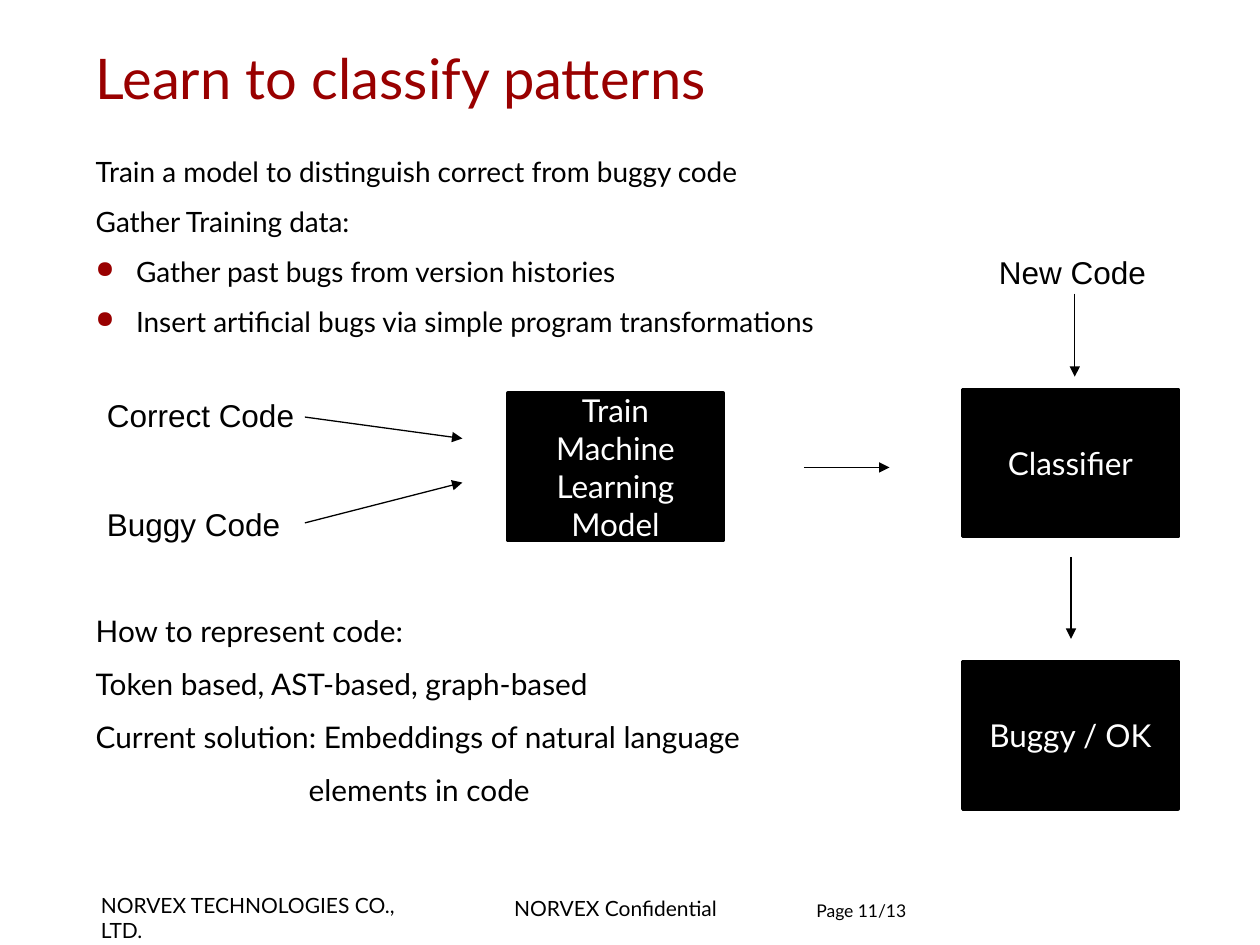
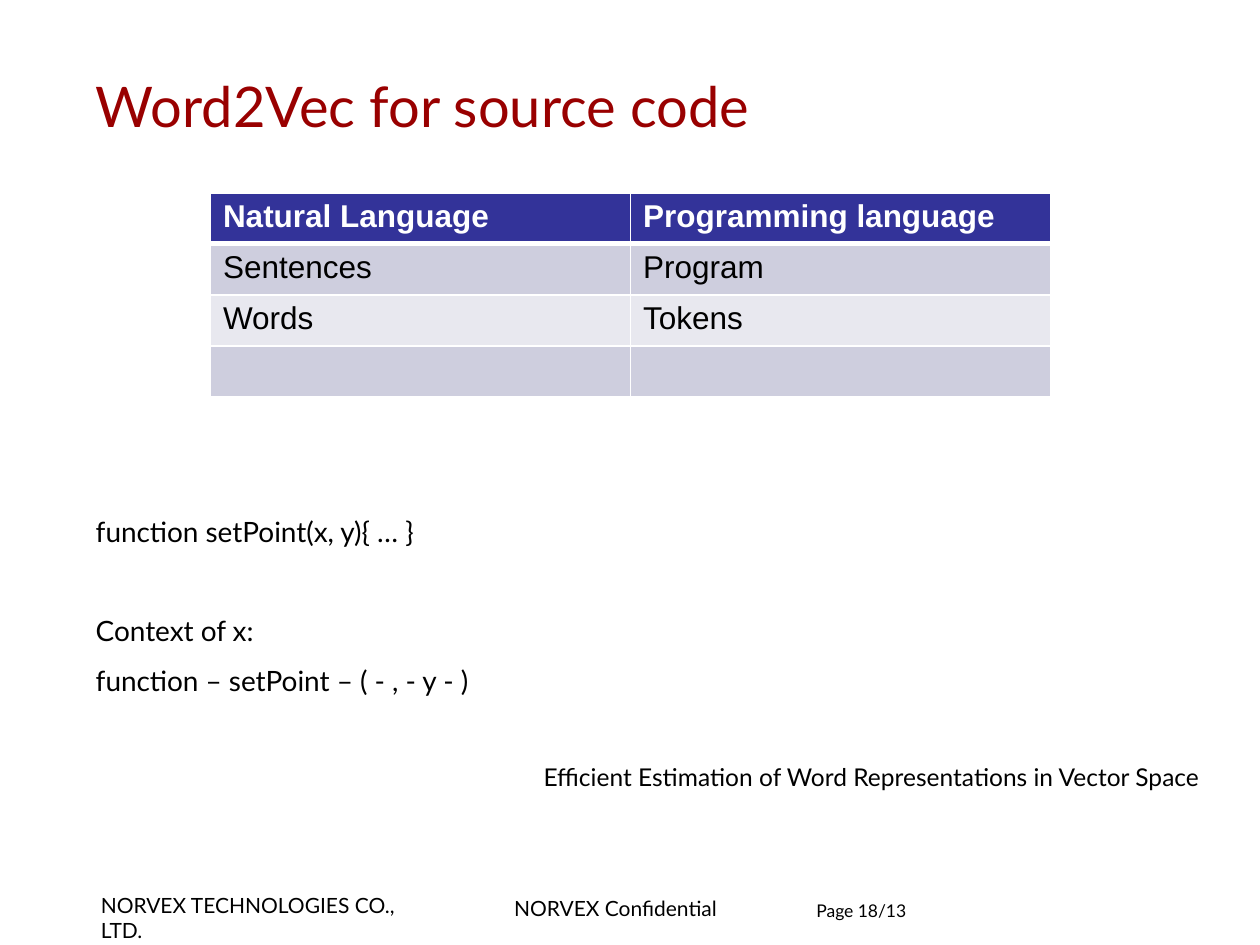
"""Build two slides on learning bug patterns and embedding source code."""
from dataclasses import dataclass
from typing import Optional

from lxml import etree
from pptx import Presentation
from pptx import dml, util as u
from pptx.dml import color
from pptx.enum import shapes, text
from pptx.oxml import ns

ALIGN = text.PP_ALIGN
MIDDLE = text.MSO_ANCHOR.MIDDLE


@dataclass(frozen=True)
class Theme:
    red: str = "990000"
    black: str = "000000"
    white: str = "FFFFFF"
    header: str = "333399"
    bands: tuple = ("CECEDE", "E8E8EF")
    font: str = "Lato"
    label_font: str = "Arial"
    title: float = 32
    label: float = 18
    code: float = 17
    body: float = 16
    citation: float = 14
    footer: float = 12
    page: float = 10


@dataclass(frozen=True)
class Area:
    left: float
    top: float
    width: float
    height: float

    def lengths(self) -> list:
        return [u.Inches(v) for v in (self.left, self.top, self.width, self.height)]


@dataclass(frozen=True)
class Line:
    words: str
    size: float
    bullet: bool = False
    indent: float = 0
    align: Optional[ALIGN] = ALIGN.JUSTIFY
    gap: float = 0


@dataclass(frozen=True)
class Arrow:
    x1: float
    y1: float
    x2: float
    y2: float


THEME = Theme()
INSETS = (0.09, 0.04)
BLOCK_WIDTH, BLOCK_HEIGHT = 1.71, 1.17
MARGIN, CONTENT_WIDTH = 0.67, 8.94
BULLET_INDENT = 0.32
FOOTERS = (
    ("NORVEX TECHNOLOGIES CO., LTD.", Area(0.71, 7.04, 2.86, 0.29)),
    ("NORVEX Confidential", Area(3.99, 7.07, 2.23, 0.29)),
)
TRAINING = (
    Line("Train a model to distinguish correct from buggy code", THEME.body),
    Line("Gather Training data:", THEME.body),
    Line("Gather past bugs from version histories", THEME.body, bullet=True),
    Line("Insert artificial bugs via simple program transformations", THEME.body, bullet=True),
)
REPRESENTATION = (
    Line("How to represent code:", THEME.code),
    Line("Token based, AST-based, graph-based", THEME.code),
    Line("Current solution: Embeddings of natural language", THEME.code),
    Line("elements in code", THEME.code, indent=1.69),
)
CONTEXT = (
    Line("function setPoint(x, y){ … }", THEME.body),
    Line("Context of x:", THEME.body, gap=28.5),
    Line("function – setPoint – ( - , - y - )", THEME.body),
    Line("Efficient Estimation of Word Representations in Vector Space",
         THEME.citation, align=ALIGN.RIGHT, gap=28.5),
)
BLOCKS = (
    ("Train Machine Learning Model", 4.03, 3.12),
    ("Classifier", 7.64, 3.09),
    ("Buggy / OK", 7.64, 5.25),
)
LABELS = (
    ("Correct Code", Area(0.75, 3.09, 1.7, 0.4)),
    ("Buggy Code", Area(0.75, 3.96, 1.59, 0.4)),
    ("New Code", Area(7.83, 1.96, 1.38, 0.4)),
)
ARROWS = (
    Arrow(2.42, 3.31, 3.67, 3.48),
    Arrow(2.42, 4.15, 3.67, 3.83),
    Arrow(6.38, 3.71, 7.06, 3.71),
    Arrow(8.53, 2.33, 8.53, 2.99),
    Arrow(8.5, 4.42, 8.5, 5.07),
)
ROWS = (
    ("Natural Language", "Programming language"),
    ("Sentences", "Program"),
    ("Words", "Tokens"),
    ("", ""),
)


def rgb(value: str) -> color.RGBColor:
    return color.RGBColor.from_string(value)


def add_xml(parent, tag: str, **attributes: str):
    return etree.SubElement(parent, ns.qn(tag), attributes)


def style(para, size: float, ink: str = THEME.black, font: str = THEME.font,
          bold: bool = False) -> None:
    for span in para.runs:
        span.font.size = u.Pt(size)
        span.font.name = font
        span.font.bold = bold
        span.font.color.rgb = rgb(ink)


def set_insets(frame, across: float, down: float) -> None:
    frame.margin_left = frame.margin_right = u.Inches(across)
    frame.margin_top = frame.margin_bottom = u.Inches(down)


def add_text(page, words: str, area: Area, size: float, ink: str = THEME.black,
             font: str = THEME.font, insets: tuple = INSETS, wrap: bool = True):
    box = page.shapes.add_textbox(*area.lengths())
    frame = box.text_frame
    frame.word_wrap = wrap
    set_insets(frame, *insets)
    frame.text = words
    style(frame.paragraphs[0], size, ink, font)
    return frame


def add_bullet(para) -> None:
    properties = para._p.get_or_add_pPr()
    properties.set("marL", str(u.Inches(BULLET_INDENT)))
    properties.set("indent", str(-u.Inches(BULLET_INDENT)))
    ink = add_xml(properties, "a:buClr")
    add_xml(ink, "a:srgbClr", val=THEME.red)
    add_xml(properties, "a:buSzPct", val="85000")
    add_xml(properties, "a:buChar", char="●")


def add_body(page, top: float, height: float, lines: tuple) -> None:
    box = page.shapes.add_textbox(*Area(MARGIN, top, CONTENT_WIDTH, height).lengths())
    frame = box.text_frame
    frame.word_wrap = True
    set_insets(frame, *INSETS)
    for index, line in enumerate(lines):
        para = frame.add_paragraph() if index else frame.paragraphs[0]
        para.text = line.words
        para.alignment = line.align
        para.line_spacing = 1.15
        para.space_after = u.Pt(line.size * 0.2)
        if index:
            para.space_before = u.Pt(line.size * 0.2 + line.gap)
        if line.bullet:
            add_bullet(para)
        elif line.indent:
            para._p.get_or_add_pPr().set("marL", str(u.Inches(line.indent)))
        style(para, line.size)


def add_page(deck, title: str, top: float, height: float, number: str):
    page = deck.slides.add_slide(deck.slide_layouts[6])
    for words, area in FOOTERS:
        add_text(page, words, area, THEME.footer)
    frame = add_text(page, title, Area(MARGIN, top, CONTENT_WIDTH, height),
                     THEME.title, THEME.red)
    frame.vertical_anchor = MIDDLE
    add_text(page, f"Page {number}", Area(6.48, 7.14, 1.16, 0.2), THEME.page, insets=(0, 0))
    return page


def add_block(page, words: str, left: float, top: float) -> None:
    area = Area(left, top, BLOCK_WIDTH, BLOCK_HEIGHT)
    block = page.shapes.add_shape(shapes.MSO_SHAPE.RECTANGLE, *area.lengths())
    block.shadow.inherit = False
    block.fill.solid()
    block.fill.fore_color.rgb = rgb(THEME.black)
    block.line.color.rgb = rgb(THEME.black)
    block.line.width = u.Pt(2)
    frame = block.text_frame
    frame.word_wrap = True
    frame.vertical_anchor = MIDDLE
    set_insets(frame, 0.15, 0.05)
    frame.text = words
    frame.paragraphs[0].alignment = ALIGN.CENTER
    style(frame.paragraphs[0], THEME.label, THEME.white)


def add_arrow(page, arrow: Arrow) -> None:
    ends = [u.Inches(v) for v in (arrow.x1, arrow.y1, arrow.x2, arrow.y2)]
    link = page.shapes.add_connector(shapes.MSO_CONNECTOR.STRAIGHT, *ends)
    link.line.color.rgb = rgb(THEME.black)
    link.line.width = u.Pt(0.75)
    add_xml(link.line._get_or_add_ln(), "a:tailEnd", type="triangle")
    add_xml(link._element.spPr, "a:effectLst")


def add_borders(cell, row: int) -> None:
    properties = cell._tc.get_or_add_tcPr()
    widths = {"L": 1, "R": 1, "T": 3 if row == 1 else 1, "B": 3 if row == 0 else 1}
    for side, width in widths.items():
        border = add_xml(properties, f"a:ln{side}", w=str(u.Pt(width)))
        add_xml(add_xml(border, "a:solidFill"), "a:srgbClr", val=THEME.white)


def add_comparison(page) -> None:
    area = Area(1.67, 1.53, 6.67, 1.62)
    table = page.shapes.add_table(len(ROWS), len(ROWS[0]), *area.lengths()).table
    for row, entries in enumerate(ROWS):
        for column, words in enumerate(entries):
            cell = table.cell(row, column)
            add_borders(cell, row)
            cell.fill.solid()
            cell.fill.fore_color.rgb = rgb(THEME.bands[(row - 1) % 2] if row else THEME.header)
            cell.text = words
            style(cell.text_frame.paragraphs[0], THEME.label,
                  THEME.black if row else THEME.white, THEME.label_font, row == 0)


def build_classifier(deck) -> None:
    page = add_page(deck, "Learn to classify patterns", 0.27, 0.69, "11/13")
    add_body(page, 1.15, 1.7, TRAINING)
    add_body(page, 4.78, 1.8, REPRESENTATION)
    for words, left, top in BLOCKS:
        add_block(page, words, left, top)
    for words, area in LABELS:
        add_text(page, words, area, THEME.label, font=THEME.label_font,
                 insets=(0.1, 0.05), wrap=False)
    for arrow in ARROWS:
        add_arrow(page, arrow)


def build_embedding(deck) -> None:
    page = add_page(deck, "Word2Vec for source code", 0.44, 0.79, "18/13")
    add_comparison(page)
    add_body(page, 4, 2.58, CONTEXT)


def main() -> None:
    deck = Presentation()
    deck.slide_width, deck.slide_height = u.Inches(10), u.Inches(7.5)
    build_classifier(deck)
    build_embedding(deck)
    deck.save("out.pptx")


if __name__ == "__main__":
    main()
